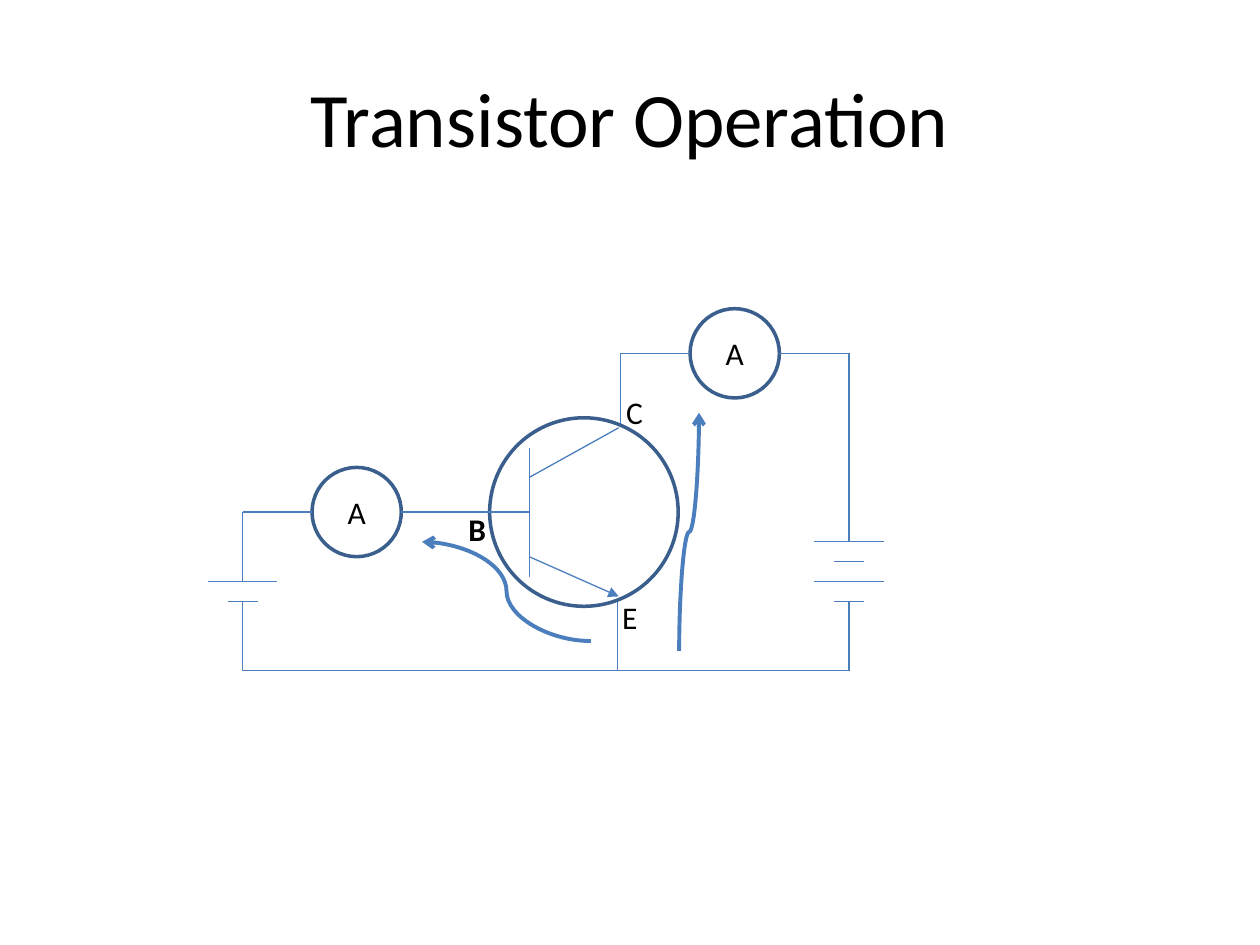
from pptx import Presentation
from pptx.dml.color import RGBColor
from pptx.enum.shapes import MSO_CONNECTOR as Link, MSO_SHAPE as Shape
from pptx.enum.text import MSO_ANCHOR as Anchor, PP_ALIGN as Align
from pptx.oxml.ns import qn
from pptx.util import Inches, Pt
from lxml.etree import SubElement

WIRE = RGBColor(0x4B, 0x7E, 0xBC)
RIM = RGBColor(0x3A, 0x5F, 0x8C)
WHITE = RGBColor(0xFF, 0xFF, 0xFF)
BLACK = RGBColor(0, 0, 0)
FONT = "Calibri"

# Circuit grid: columns and rows of one step, counted from its top left corner
STEP = Inches(0.63) / 4
LEFT, TOP = Inches(1.65), Inches(2.45)
METER, LEAD = 4.5, 3.5              # meter diameter, length of a lead
LONG, SHORT = 3.5, 1.5              # battery plates
LEFT_COL, RIGHT_COL = 1.75, 32.3    # outer wires
C_COL, E_COL = 20.8, 20.65          # collector and emitter wires
BASE_ROW, TOP_ROW, BOTTOM_ROW = 10.25, 2.25, 18.25


def at(col, row):
    return round(LEFT + col * STEP), round(TOP + row * STEP)


def add_run(p, text, size, bold=False):
    r = p.add_run()
    r.text = text
    r.font.name, r.font.size, r.font.bold = FONT, Pt(size), bold
    r.font.color.rgb = BLACK


def line(shapes, start, end, width=0.75, head=None, kind=Link.STRAIGHT):
    c = shapes.add_connector(kind, *at(*start), *at(*end))
    c.line.color.rgb = WIRE
    c.line.width = Pt(width)
    if head:
        SubElement(c.line._get_or_add_ln(), qn("a:tailEnd"), type=head)
    SubElement(c._element.spPr, qn("a:effectLst"))
    return c


def circle(shapes, col, row, size):
    sp = shapes.add_shape(Shape.OVAL, *at(col, row), round(size * STEP), round(size * STEP))
    sp.shadow.inherit = False
    sp.fill.background()
    sp.line.color.rgb = RIM
    sp.line.width = Pt(2)
    return sp


def title(s, text):
    sp = s.shapes.title
    sp.left, sp.top, sp.width, sp.height = Inches(0.5), Inches(0.3), Inches(9), Inches(1.25)
    sp.text_frame.vertical_anchor = Anchor.MIDDLE
    p = sp.text_frame.paragraphs[0]
    p.alignment = Align.CENTER
    add_run(p, text, 44)


def battery(s, col, top, bottom, plate_row, cells):
    """Plates one row apart, long above short, with leads up and down."""
    shapes = s.shapes.add_group_shape().shapes
    last = plate_row + 2 * cells - 1
    for i in range(2 * cells):
        half = (SHORT if i % 2 else LONG) / 2
        line(shapes, (col - half, plate_row + i), (col + half, plate_row + i))
    line(shapes, (col, plate_row), (col, top))
    line(shapes, (col, bottom), (col, last))


def ammeter(s, col, row):
    """Meter with a lead on each side, starting at col."""
    shapes = s.shapes.add_group_shape().shapes
    sp = circle(shapes, col + LEAD, row - METER / 2, METER)
    tf = sp.text_frame
    tf.vertical_anchor = Anchor.MIDDLE
    tf.paragraphs[0].alignment = Align.CENTER
    add_run(tf.paragraphs[0], "A", 18)
    for start in (col, col + LEAD + METER):
        line(shapes, (start, row), (start + LEAD, row))


def transistor(s, col, row, size):
    shapes = s.shapes.add_group_shape().shapes
    sp = circle(shapes, col, row, size)
    sp.fill.solid()
    sp.fill.fore_color.rgb = WHITE
    bar, tip, middle = col + 2, col + 6.5, row + size / 2
    line(shapes, (bar, row + 1.5), (bar, row + size - 1.5))
    line(shapes, (bar, row + 2.5 + 0.5), (tip, row + 0.5))
    line(shapes, (bar, row + 7), (tip, row + 9), head="triangle")
    line(shapes, (bar, middle), (bar - 3, middle))


def label(s, text, col, row, bold=False):
    tf = s.shapes.add_textbox(*at(col, row), Inches(0.34), Inches(0.4)).text_frame
    tf.word_wrap = False
    add_run(tf.paragraphs[0], text, 18, bold)


def flow(s, start, end, upright=False):
    """Curved current arrow; an upright one is laid flat, then turned a quarter."""
    if upright:
        (x1, y1), (x2, y2) = start, end
        cx, cy = (x1 + x2) / 2, (y1 + y2) / 2
        half_w, half_h = (y1 - y2) / 2, (x2 - x1) / 2
        start, end = (cx + half_w, cy + half_h), (cx - half_w, cy - half_h)
    c = line(s.shapes, start, end, 2.25, "arrow", Link.CURVE)
    if upright:
        c._element.spPr.find(qn("a:xfrm")).set("rot", str(90 * 60000))


def circuit(s):
    # Collector and emitter wires, behind the transistor
    line(s.shapes, (C_COL, TOP_ROW), (C_COL, 6.25))
    line(s.shapes, (E_COL, 14.25), (E_COL, BOTTOM_ROW))
    # Supplies, transistor and meters
    battery(s, RIGHT_COL, 8.25, BOTTOM_ROW, 11.75, cells=2)
    battery(s, LEFT_COL, BASE_ROW, BOTTOM_ROW, 13.75, cells=1)
    transistor(s, 14.2, 5.5, 9.5)
    ammeter(s, C_COL, TOP_ROW)
    ammeter(s, LEFT_COL, BASE_ROW)
    # Outer wires
    line(s.shapes, (LEFT_COL, BOTTOM_ROW), (RIGHT_COL, BOTTOM_ROW))
    line(s.shapes, (RIGHT_COL, TOP_ROW), (RIGHT_COL, 8.25))
    # Terminal names
    label(s, "C", 20.45, 3.95)
    label(s, "E", 20.25, 14.25)
    label(s, "B", 12.5, 9.85, bold=True)
    # Base and collector currents
    flow(s, (19.3, 16.75), (10.8, 11.75))
    flow(s, (23.75, 17.25), (24.75, 5.25), upright=True)


def main():
    prs = Presentation()
    prs.slide_width, prs.slide_height = Inches(10), Inches(7.5)
    s = prs.slides.add_slide(prs.slide_layouts[5])
    title(s, "Transistor Operation")
    circuit(s)
    prs.save("out.pptx")


if __name__ == "__main__":
    main()
